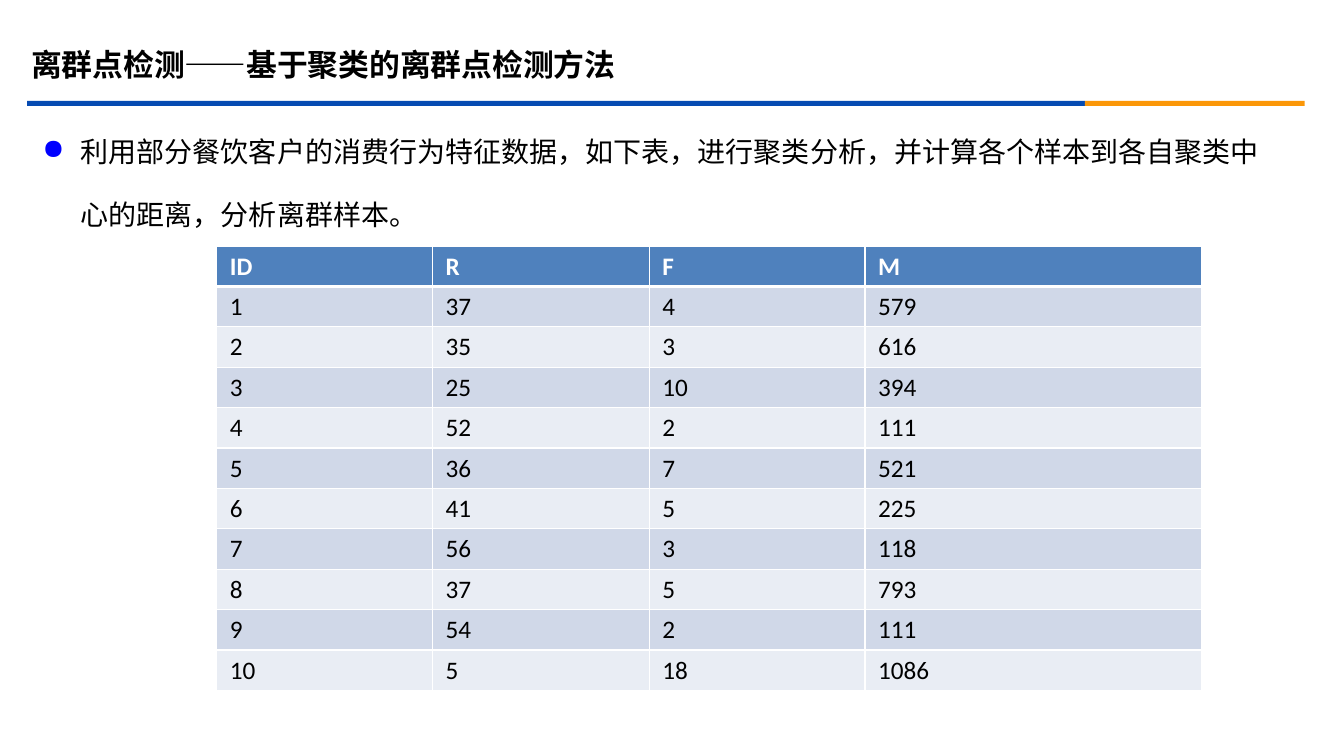
from dataclasses import dataclass

from lxml.etree import SubElement
from pptx import Presentation
from pptx.dml.color import RGBColor
from pptx.enum.shapes import MSO_SHAPE
from pptx.enum.text import MSO_ANCHOR
from pptx.oxml.ns import qn
from pptx.util import Inches, Pt

TITLE_PARTS = [("离群点检测", "Arial"), ("——基于聚类的离群点检测方法", "Noto Sans CJK SC")]
BODY = "利用部分餐饮客户的消费行为特征数据，如下表，进行聚类分析，并计算各个样本到各自聚类中心的距离，分析离群样本。"
CUSTOMERS = [
    ("ID", "R", "F", "M"),
    (1, 37, 4, 579),
    (2, 35, 3, 616),
    (3, 25, 10, 394),
    (4, 52, 2, 111),
    (5, 36, 7, 521),
    (6, 41, 5, 225),
    (7, 56, 3, 118),
    (8, 37, 5, 793),
    (9, 54, 2, 111),
    (10, 5, 18, 1086),
]
COLUMN_WIDTHS = (2.14, 2.15, 2.14, 3.34)
TABLE_LEFT, TABLE_TOP, TABLE_HEIGHT = 2.15, 2.44, 4.41
RULE_LEFT, RULE_TOP, RULE_HEIGHT = 0.27, 1, 0.05


@dataclass(frozen=True)
class Theme:
    east_asian: str = "Noto Sans CJK SC"
    table_font: str = "Calibri"
    title_size: int = 22
    body_size: int = 20
    table_size: int = 18
    text: str = "000000"
    white: str = "FFFFFF"
    bullet: str = "0000FF"
    header: str = "4F81BD"
    bands: tuple = ("D0D8E8", "E9EDF4")
    rule: tuple = (("064BB2", 10.49), ("FB9708", 2.18))


THEME = Theme()


def format_span(span, name, size, color, bold=False):
    font = span.font
    font.name, font.size, font.bold = name, Pt(size), bold
    font.color.rgb = RGBColor.from_string(color)
    SubElement(font._element, qn("a:ea"), typeface=THEME.east_asian)


def space_before_percent(para, percent):
    properties = para._p.get_or_add_pPr()
    spacing = SubElement(properties, qn("a:spcBef"))
    SubElement(spacing, qn("a:spcPct"), val=str(percent * 1000))
    return properties


def add_text_frame(page, left, top, width, height):
    box = page.shapes.add_textbox(Inches(left), Inches(top), Inches(width), Inches(height))
    box.text_frame.word_wrap = True
    return box.text_frame


def add_rule(page):
    left = RULE_LEFT
    for color, width in THEME.rule:
        bar = page.shapes.add_shape(
            MSO_SHAPE.RECTANGLE, Inches(left), Inches(RULE_TOP), Inches(width), Inches(RULE_HEIGHT))
        bar.shadow.inherit = False
        bar.fill.solid()
        bar.fill.fore_color.rgb = RGBColor.from_string(color)
        bar.line.fill.background()
        left += width


def add_title(page):
    frame = add_text_frame(page, 0.21, 0.4, 12.13, 0.47)
    frame.vertical_anchor = MSO_ANCHOR.MIDDLE
    for text, name in TITLE_PARTS:
        span = frame.paragraphs[0].add_run()
        span.text = text
        format_span(span, name, THEME.title_size, THEME.text, bold=True)


def add_body(page):
    frame = add_text_frame(page, 0.42, 1.03, 12.29, 1.28)
    frame.margin_left = frame.margin_top = frame.margin_right = frame.margin_bottom = 0
    para = frame.paragraphs[0]
    para.text = BODY
    para.line_spacing = 1.9
    format_span(para.runs[0], THEME.east_asian, THEME.body_size, THEME.text)
    properties = space_before_percent(para, 20)
    indent = Inches(0.38)
    properties.set("marL", str(indent))
    properties.set("indent", str(-indent))
    bullet_color = SubElement(properties, qn("a:buClr"))
    SubElement(bullet_color, qn("a:srgbClr"), val=THEME.bullet)
    SubElement(properties, qn("a:buChar"), char="●")


def add_borders(cell, top, bottom):
    """Draw white cell borders; they must come before the fill in the cell properties."""
    properties = cell._tc.get_or_add_tcPr()
    for side, points in (("L", 1), ("R", 1), ("T", top), ("B", bottom)):
        line = SubElement(properties, qn(f"a:ln{side}"), w=str(Pt(points)))
        SubElement(SubElement(line, qn("a:solidFill")), qn("a:srgbClr"), val=THEME.white)


def fill_cell(cell, value, row):
    is_header = row == 0
    add_borders(cell, top=3 if row == 1 else 1, bottom=3 if is_header else 1)
    cell.fill.solid()
    fill = THEME.header if is_header else THEME.bands[(row - 1) % 2]
    cell.fill.fore_color.rgb = RGBColor.from_string(fill)
    cell.margin_left = cell.margin_right = Inches(0.13)
    cell.margin_top = cell.margin_bottom = Inches(0.05)
    para = cell.text_frame.paragraphs[0]
    para.text = str(value)
    space_before_percent(para, 20)
    color = THEME.white if is_header else THEME.text
    format_span(para.runs[0], THEME.table_font, THEME.table_size, color, bold=is_header)


def add_customer_table(page):
    table = page.shapes.add_table(
        len(CUSTOMERS), len(COLUMN_WIDTHS), Inches(TABLE_LEFT), Inches(TABLE_TOP),
        Inches(sum(COLUMN_WIDTHS)), Inches(TABLE_HEIGHT)).table
    for column, width in zip(table.columns, COLUMN_WIDTHS):
        column.width = Inches(width)
    for row, values in enumerate(CUSTOMERS):
        for column, value in enumerate(values):
            fill_cell(table.cell(row, column), value, row)


def main():
    deck = Presentation()
    deck.slide_width, deck.slide_height = Inches(13.33), Inches(7.5)
    page = deck.slides.add_slide(deck.slide_layouts[6])
    add_rule(page)
    add_title(page)
    add_body(page)
    add_customer_table(page)
    deck.save("out.pptx")


if __name__ == "__main__":
    main()
